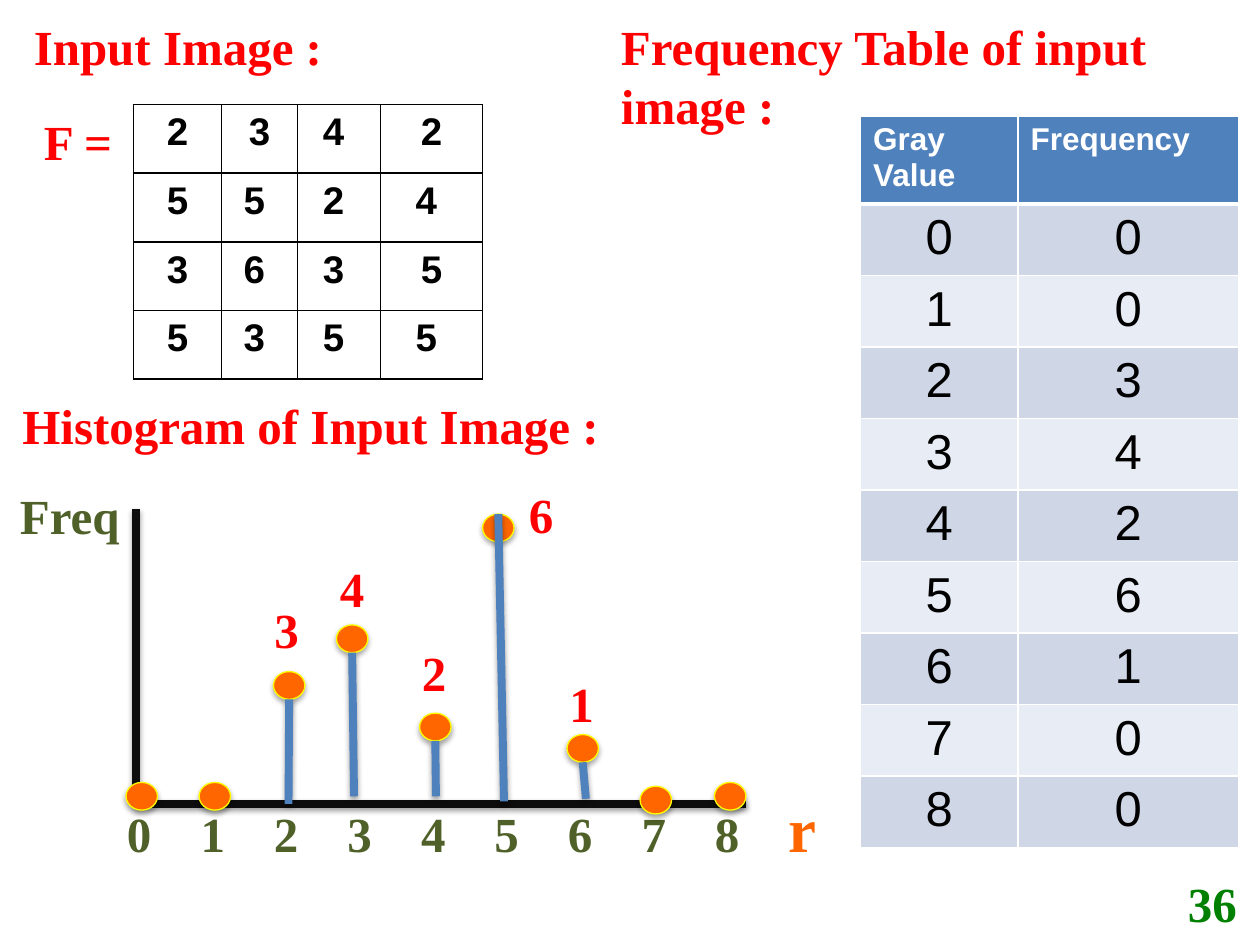
"""Builds a slide with an image matrix, its frequency table and its histogram."""
import lxml.etree
import pptx
import pptx.dml.color
import pptx.enum.shapes
import pptx.enum.text
import pptx.oxml.ns
import pptx.util

Inches = pptx.util.Inches
Pt = pptx.util.Pt
qn = pptx.oxml.ns.qn

SERIF, SANS = "Times New Roman", "Arial"
RED, GREEN, OLIVE, ORANGE = "FF0000", "008000", "4F6128", "FF6600"
BLUE, BLACK, WHITE, YELLOW = "4F81BD", "000000", "FFFFFF", "FFFF00"
AXIS, BANDS = "0D0D0D", ("CFD7E7", "E8ECF4")
DOT_WIDTH, DOT_HEIGHT, TICK_GAP = 0.25, 0.22, 7 / 12

MATRIX = [
    ["2", "3", "4 ", "2"],
    ["5", "5 ", "2 ", "4 "],
    ["3", "6 ", "3 ", "5"],
    ["5", "3 ", "5 ", "5 "],
]
FREQUENCIES = [0, 0, 3, 4, 2, 6, 1, 0, 0]
DOTS = [(0, 2.21), (0.58, 2.21), (1.17, 1.33), (1.67, 0.96), (2.33, 1.66),
        (2.83, 0.08), (3.5, 1.83), (4.08, 2.24), (4.67, 2.21)]
STEM_FEET = {2: (1.29, 2.38), 3: (1.81, 2.32), 5: (3, 2.36), 4: (2.46, 2.32), 6: (3.65, 2.34)}
COUNT_LABELS = {2: (1.08, 0.71), 3: (1.6, 0.38), 4: (2.25, 1.05), 5: (3.1, -0.21), 6: (3.42, 1.29)}


def color(value):
    """Return the colour of a hex string."""
    return pptx.dml.color.RGBColor.from_string(value)


def style(font, size, value, name=SERIF, bold=True):
    """Set the look of a font."""
    font.name, font.size, font.bold = name, Pt(size), bold
    font.color.rgb = color(value)


def add_child(parent, tag, **attributes):
    """Append an XML element to a parent."""
    return lxml.etree.SubElement(parent, qn(tag), attributes)


def add_label(page, box, text, value=RED, anchor=pptx.enum.text.MSO_ANCHOR.MIDDLE):
    """Add a bold text box and return its paragraph."""
    label = page.shapes.add_textbox(*map(Inches, box))
    frame = label.text_frame
    frame.word_wrap, frame.vertical_anchor = True, anchor
    para = frame.paragraphs[0]
    if text:
        para.text = text
        style(para.font, 28, value)
    return para


def add_shadow(shape, alpha, distance):
    """Give a shape a soft shadow straight below it."""
    properties = shape._element.spPr
    effects = properties.find(qn("a:effectLst"))
    if effects is None:
        effects = add_child(properties, "a:effectLst")
    shadow = add_child(effects, "a:outerShdw", blurRad=str(Pt(3.1)), dist=str(Pt(distance)),
                       dir="5400000", rotWithShape="0")
    tint = add_child(shadow, "a:srgbClr", val=BLACK)
    add_child(tint, "a:alpha", val=str(alpha * 1000))


def add_line(shapes, start, end, value):
    """Add a thick straight line with a shadow."""
    line = shapes.add_connector(pptx.enum.shapes.MSO_CONNECTOR.STRAIGHT,
                                *map(Inches, (*start, *end)))
    line.line.width = Pt(4.5)
    line.line.color.rgb = color(value)
    add_shadow(line, 38, 1.6)


def add_dot(page, left, top):
    """Add an orange histogram marker."""
    dot = page.shapes.add_shape(pptx.enum.shapes.MSO_SHAPE.OVAL,
                                *map(Inches, (left, top, DOT_WIDTH, DOT_HEIGHT)))
    dot.fill.solid()
    dot.fill.fore_color.rgb = color(ORANGE)
    dot.line.color.rgb = color(YELLOW)
    dot.line.width = Pt(0.75)
    dot.shadow.inherit = False
    add_shadow(dot, 35, 1.8)


def set_borders(cell, value, top=1, bottom=1):
    """Draw the four borders of a table cell."""
    properties = cell._tc.get_or_add_tcPr()
    for side, width in (("L", 1), ("R", 1), ("T", top), ("B", bottom)):
        border = add_child(properties, f"a:ln{side}", w=str(Pt(width)))
        fill = add_child(border, "a:solidFill")
        add_child(fill, "a:srgbClr", val=value)


def add_grid(page, box, widths, heights):
    """Add a table without banding, sized by its columns and rows."""
    grid = page.shapes.add_table(len(heights), len(widths), *map(Inches, box)).table
    grid.first_row = grid.horz_banding = False
    for column, width in zip(grid.columns, widths):
        column.width = Inches(width)
    for row, height in zip(grid.rows, heights):
        row.height = Inches(height)
    return grid


def add_matrix(page, box):
    """Add the grid of image gray values."""
    grid = add_grid(page, box, [0.7, 0.6, 0.66, 0.81], [box[3] / 4] * 4)
    for row, values in enumerate(MATRIX):
        for column, text in enumerate(values):
            cell = grid.cell(row, column)
            set_borders(cell, BLACK)
            cell.fill.background()
            para = cell.text_frame.paragraphs[0]
            para.text = text
            para.alignment = pptx.enum.text.PP_ALIGN.CENTER
            style(para.font, 22, BLACK, SANS)


def add_frequency_table(page, box):
    """Add the table of gray values and their frequencies."""
    rows = [("Gray Value", "Frequency"), *enumerate(FREQUENCIES)]
    header_height = 0.7
    row_height = (box[3] - header_height) / len(FREQUENCIES)
    grid = add_grid(page, box, [1.25, 1.75], [header_height] + [row_height] * len(FREQUENCIES))
    for row, values in enumerate(rows):
        header = row == 0
        for column, value in enumerate(values):
            cell = grid.cell(row, column)
            set_borders(cell, WHITE, top=3 if row == 1 else 1, bottom=3 if header else 1)
            cell.fill.solid()
            cell.fill.fore_color.rgb = color(BLUE if header else BANDS[(row - 1) % 2])
            para = cell.text_frame.paragraphs[0]
            para.text = str(value)
            if header:
                style(para.font, 18, WHITE, SANS)
            else:
                para.alignment = pptx.enum.text.PP_ALIGN.CENTER
                style(para.font, 28, BLACK, SANS, bold=False)


def add_ticks(page, box):
    """Add the gray values under the axis and the axis name."""
    para = add_label(page, box, "")
    tabs = add_child(para._p.get_or_add_pPr(), "a:tabLst")
    for index in range(1, len(FREQUENCIES) + 1):
        add_child(tabs, "a:tab", pos=str(Inches(index * TICK_GAP)), algn="l")
    ticks = "".join(f"{value}\t" for value in range(len(FREQUENCIES)))
    for text, size, value in ((ticks, 28, OLIVE), ("r", 36, ORANGE)):
        span = para.add_run()
        span.text = text
        style(span.font, size, value)


def add_histogram(page, left, top):
    """Add the axes, markers, stems and counts of the histogram."""
    def place(point):
        return left + point[0], top + point[1]

    axes = page.shapes.add_group_shape()
    origin = place((0.08, 2.38))
    add_line(axes.shapes, place((0.08, 0.04)), origin, AXIS)
    add_line(axes.shapes, origin, place((4.92, 2.38)), AXIS)
    add_label(page, (*place((-0.94, -0.2)), 1.01, 0.57), "Freq", OLIVE)
    add_ticks(page, (*place((-0.09, 2.21)), 5.84, 0.71))
    for dot in DOTS:
        add_dot(page, *place(dot))
    highest = max(FREQUENCIES)
    for gray, foot in STEM_FEET.items():
        x, y = DOTS[gray]
        drop = 0 if FREQUENCIES[gray] == highest else DOT_HEIGHT
        add_line(page.shapes, place((x + DOT_WIDTH / 2, y + drop)), place(foot), BLUE)
    for gray, point in COUNT_LABELS.items():
        add_label(page, (*place(point), 0.4, 0.57), str(FREQUENCIES[gray]))


def main():
    """Build the deck and save it."""
    deck = pptx.Presentation()
    deck.slide_width, deck.slide_height = Inches(10), Inches(7.5)
    page = deck.slides.add_slide(deck.slide_layouts[6])
    add_label(page, (9.33, 6.88, 0.67, 0.61), "36", GREEN, pptx.enum.text.MSO_ANCHOR.TOP)
    add_label(page, (0.17, 0.08, 3.5, 0.57), "Input Image :")
    add_label(page, (4.83, 0.08, 5.58, 1.04), "Frequency Table of input image :")
    add_frequency_table(page, (6.83, 0.92, 3, 5.8))
    add_label(page, (0.25, 0.83, 0.86, 0.57), "F =")
    add_label(page, (0.08, 3.09, 5.17, 0.57), "Histogram of Input Image :")
    add_matrix(page, (1.06, 0.83, 2.77, 2.18))
    add_histogram(page, 1, 4)
    deck.save("out.pptx")


if __name__ == "__main__":
    main()
